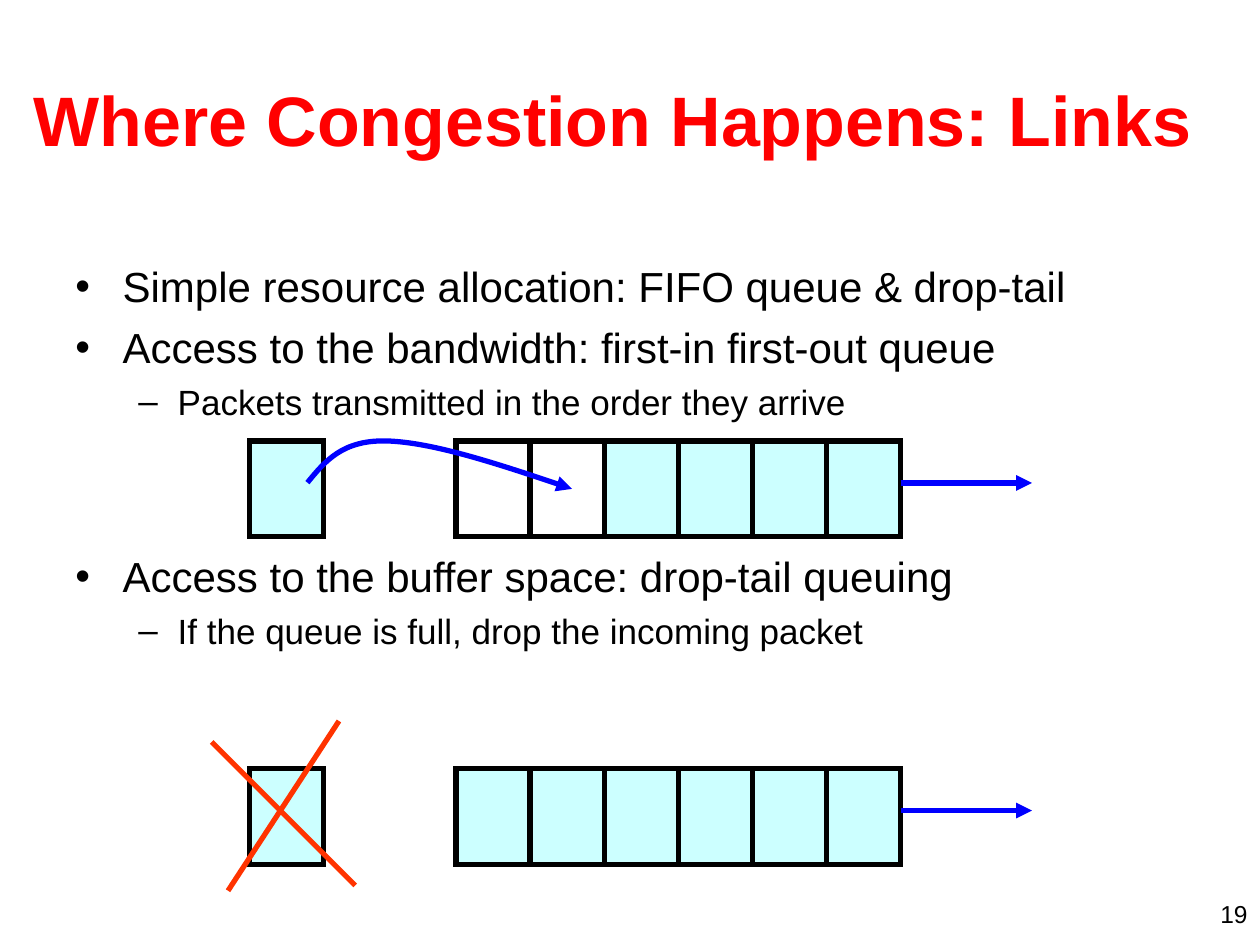
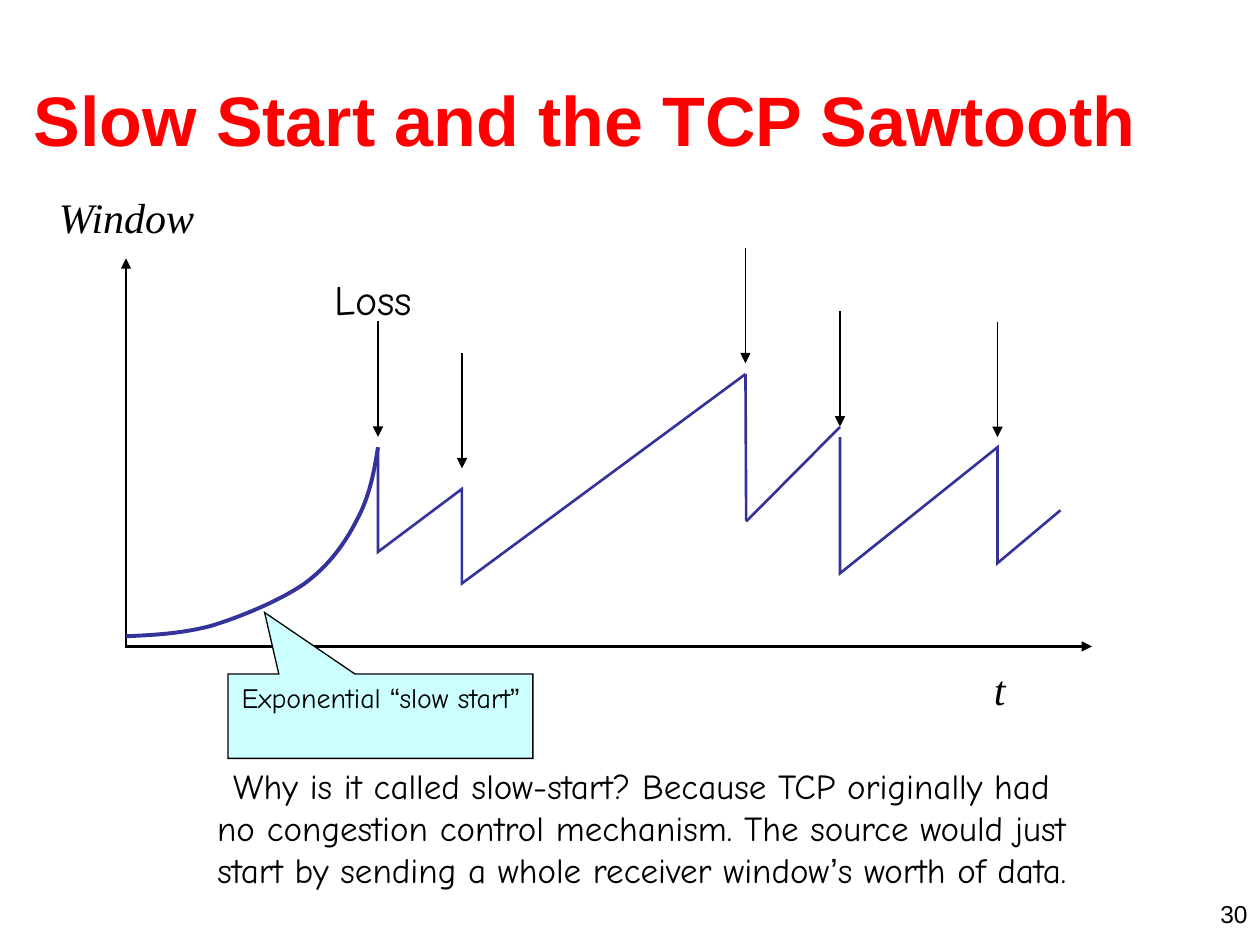
"""Build two lecture slides on network congestion and TCP slow start."""
from dataclasses import dataclass
from itertools import groupby

from lxml.etree import SubElement
from pptx import Presentation
from pptx.dml.color import RGBColor
from pptx.enum.shapes import MSO_CONNECTOR, MSO_SHAPE
from pptx.enum.text import MSO_ANCHOR, MSO_AUTO_SIZE, PP_ALIGN
from pptx.oxml.ns import qn
from pptx.util import Pt

LEFT, CENTER, RIGHT = PP_ALIGN.LEFT, PP_ALIGN.CENTER, PP_ALIGN.RIGHT
TOP, MIDDLE = MSO_ANCHOR.TOP, MSO_ANCHOR.MIDDLE
FIXED, GROW = MSO_AUTO_SIZE.NONE, MSO_AUTO_SIZE.SHAPE_TO_FIT_TEXT
RECT, CALLOUT = MSO_SHAPE.RECTANGLE, MSO_SHAPE.RECTANGULAR_CALLOUT
STRAIGHT = MSO_CONNECTOR.STRAIGHT
TITLE_ONLY = 5
QUOTES = "“”’"


@dataclass(frozen=True)
class Type:
    """A text style."""
    size: float
    font: str = "Arial"
    color: str = "000000"
    bold: bool = False
    italic: bool = False


@dataclass(frozen=True)
class Pen:
    """A line style, with optional arrowheads."""
    color: str
    width: float
    head: bool = False
    tail: bool = False


@dataclass(frozen=True)
class Theme:
    """Colours, type and lines shared by the slides."""
    cell: str = "CCFFFF"
    quote: str = "Arial"
    title: Type = Type(40, color="FF0000", bold=True)
    number: Type = Type(14)
    point: Type = Type(24)
    detail: Type = Type(20)
    loss: Type = Type(24, "Comic Neue")
    note: Type = Type(20, "Comic Neue")
    call: Type = Type(16, "Comic Neue")
    axis: Type = Type(24, "Times New Roman", italic=True)
    border: Pen = Pen("000000", 3)
    flow: Pen = Pen("0000FF", 3, tail=True)
    cross: Pen = Pen("FF3300", 3)
    axes: Pen = Pen("000000", 1.5, head=True, tail=True)
    drop: Pen = Pen("000000", 0.75, tail=True)
    frame: Pen = Pen("000000", 0.75)
    growth: Pen = Pen("333399", 2.25)
    saw: Pen = Pen("333399", 1.5)


@dataclass(frozen=True)
class Level:
    """The bullet layout of one outline level."""
    mark: str
    margin: float
    hang: float
    type: Type


@dataclass(frozen=True)
class Item:
    """One bulleted line."""
    text: str
    level: Level
    before: float


@dataclass(frozen=True)
class Label:
    """A text box sized to its lines."""
    lines: tuple
    box: tuple
    type: Type
    align: PP_ALIGN = LEFT


THEME = Theme()
MAIN = Level("•", 27, 27, THEME.point)
SUB = Level("–", 58.5, 22.5, THEME.detail)

ITEMS = (
    Item("Simple resource allocation: FIFO queue & drop-tail", MAIN, 0),
    Item("Access to the bandwidth: first-in first-out queue", MAIN, 6),
    Item("Packets transmitted in the order they arrive", SUB, 5),
    Item("Access to the buffer space: drop-tail queuing", MAIN, 73),
    Item("If the queue is full, drop the incoming packet", SUB, 5),
)
LABELS = (
    Label(("Loss",), (184.3, 152.6, 59, 36), THEME.loss),
    Label(("t",), (560.9, 375.8, 21, 36), THEME.axis),
    Label(("Window",), (26.6, 105.8, 93, 36), THEME.axis),
    Label(("Why is it called slow-start? Because TCP originally had",
           "no congestion control mechanism. The source would just",
           "start by sending a whole receiver window’s worth of data."),
          (113, 433.4, 507.6, 79.2), THEME.note, CENTER),
)

CELL_W, CELL_H = 42.35, 54.7
QUEUE_X, QUEUE_N, PACKET_X = 260.6, 6, 142.6
ENTRY = ((175.7, 275.8), (185.8, 263.5), (195.8, 251.3), (221, 252),
         (246.2, 252.7), (286.6, 265.7), (326.9, 279.4))
CROSS = (((121, 424), (203, 506)), ((193.7, 412), (130.3, 509)))

AXES = ((72, 147.6), (72, 369.4), (624, 369.4))
DROPS = ((216, 183.6), (264, 201.6), (426, 141.6), (480, 177.8), (570, 183.8))
DROP_H = 66
GROWTH = ((216, 255.6), (213.8, 270), (211, 284.4), (203.8, 297.4),
          (197.3, 310.3), (187.9, 323.3), (174.2, 333.4), (159.8, 343.4),
          (136.8, 352.8), (120.2, 357.8), (103, 362.2), (87.8, 362.9),
          (72, 363.6))
TEETH = (
    ((216, 255.6), (216, 315.4), (264, 279.4), (264, 333.4), (426, 213.8)),
    ((480, 249.8), (480, 327.6), (570, 255.6), (570, 321.8), (606, 291.6)),
)
EDGES = (((426.4, 298), (480, 244)), ((426, 213.8), (426.4, 297.5)))


def style(font, kind: Type) -> None:
    """Apply a text style to a font."""
    font.name, font.size = kind.font, Pt(kind.size)
    font.bold, font.italic = kind.bold, kind.italic
    font.color.rgb = RGBColor.from_string(kind.color)


def write(frame, lines: tuple, kind: Type, align: PP_ALIGN = LEFT) -> None:
    """Fill a frame with lines, setting quote marks in their own font."""
    for i, line in enumerate(lines):
        para = frame.add_paragraph() if i else frame.paragraphs[0]
        para.alignment = align
        for quote, part in groupby(line, lambda sign: sign in QUOTES):
            run = para.add_run()
            run.text = "".join(part)
            style(run.font, kind)
            if quote:
                run.font.name = THEME.quote


def add_box(slide, box: tuple, wrap: bool = True):
    """Add a text box and return its frame."""
    frame = slide.shapes.add_textbox(*map(Pt, box)).text_frame
    frame.word_wrap = wrap
    frame.auto_size = FIXED if wrap else GROW
    return frame


def stroke(shape, pen: Pen) -> None:
    """Set the line, corners and arrowheads of a shape."""
    shape.line.width = Pt(pen.width)
    shape.line.fill.solid()
    shape.line.fill.fore_color.rgb = RGBColor.from_string(pen.color)
    line = shape.element.spPr.find(qn("a:ln"))
    SubElement(line, qn("a:miter"), lim="800000")
    for end, shown in (("a:headEnd", pen.head), ("a:tailEnd", pen.tail)):
        if shown:
            SubElement(line, qn(end), type="triangle")


def add_line(slide, start: tuple, end: tuple, pen: Pen) -> None:
    """Draw a straight line."""
    line = slide.shapes.add_connector(STRAIGHT, *map(Pt, start + end))
    stroke(line, pen)
    SubElement(line.element.spPr, qn("a:effectLst"))


def add_path(slide, points: tuple, pen: Pen, curved: bool = False) -> None:
    """Draw an open path, its points being Bezier controls if curved."""
    first, *rest = [(Pt(x), Pt(y)) for x, y in points]
    build = slide.shapes.build_freeform(*first)
    build.add_line_segments(rest, close=False)
    shape = build.convert_to_shape()
    shape.shadow.inherit = False
    shape.fill.background()
    stroke(shape, pen)
    if curved:
        path = shape.element.spPr.find(".//" + qn("a:path"))
        steps = path.findall(qn("a:lnTo"))
        for i in range(0, len(steps), 3):
            curve = SubElement(path, qn("a:cubicBezTo"))
            for step in steps[i:i + 3]:
                curve.append(step[0])
                path.remove(step)


def add_shape(slide, kind: MSO_SHAPE, box: tuple, pen: Pen, filled: bool = True):
    """Add a preset shape in the cell colour or without a fill."""
    shape = slide.shapes.add_shape(kind, *map(Pt, box))
    shape.shadow.inherit = False
    if filled:
        shape.fill.solid()
        shape.fill.fore_color.rgb = RGBColor.from_string(THEME.cell)
    else:
        shape.fill.background()
    stroke(shape, pen)
    return shape


def add_slide(deck, title: str, number: int):
    """Add a slide with its title and number."""
    slide = deck.slides.add_slide(deck.slide_layouts[TITLE_ONLY])
    head = slide.shapes.title
    head.left, head.top, head.width, head.height = map(Pt, (12, 23, 690, 90))
    frame = head.text_frame
    frame.word_wrap, frame.auto_size = True, FIXED
    frame.vertical_anchor = MIDDLE
    write(frame, (title,), THEME.title)
    frame = add_box(slide, (552, 510, 168, 18))
    write(frame, (str(number),), THEME.number, RIGHT)
    return slide


def add_list(slide, items: tuple, box: tuple) -> None:
    """Add a bulleted list."""
    frame = add_box(slide, box)
    frame.text = "\n".join(item.text for item in items)
    for para, item in zip(frame.paragraphs, items):
        level = item.level
        props = para._p.get_or_add_pPr()
        props.set("marL", str(Pt(level.margin)))
        props.set("indent", str(-Pt(level.hang)))
        SubElement(props, qn("a:buFont"), typeface=level.type.font)
        SubElement(props, qn("a:buChar"), char=level.mark)
        if item.before:
            para.space_before = Pt(item.before)
        style(para.runs[0].font, level.type)


def add_queue(slide, top: float, free: int) -> None:
    """Draw a queue with free cells, a new packet and the way out."""
    for i in range(QUEUE_N):
        box = (QUEUE_X + i * CELL_W, top, CELL_W, CELL_H)
        add_shape(slide, RECT, box, THEME.border, i >= free)
    add_shape(slide, RECT, (PACKET_X, top, CELL_W, CELL_H), THEME.border)
    exit_x, mid = QUEUE_X + QUEUE_N * CELL_W, top + 24
    add_line(slide, (exit_x, mid), (exit_x + 75, mid), THEME.flow)


def links(deck) -> None:
    """Build the slide on congested links."""
    slide = add_slide(deck, "Where Congestion Happens: Links", 19)
    add_list(slide, ITEMS, (36, 145.5, 648, 340.5))
    add_queue(slide, 252, 2)
    add_path(slide, ENTRY, THEME.flow, True)
    add_queue(slide, 439.2, 0)
    for start, end in CROSS:
        add_line(slide, start, end, THEME.cross)


def tooth(deck) -> None:
    """Build the slide on slow start."""
    slide = add_slide(deck, "Slow Start and the TCP Sawtooth", 30)
    add_path(slide, AXES, THEME.axes)
    for x, y in DROPS:
        add_line(slide, (x, y), (x, y + DROP_H), THEME.drop)
    add_path(slide, GROWTH, THEME.growth, True)
    call = add_shape(slide, CALLOUT, (130.3, 385.2, 174.2, 48.2), THEME.frame)
    call.adjustments[0], call.adjustments[1] = -0.38, -1.23
    call.text_frame.vertical_anchor = TOP
    call.text_frame.word_wrap = True
    write(call.text_frame, ("Exponential “slow start”",), THEME.call, CENTER)
    for label in LABELS:
        frame = add_box(slide, label.box, False)
        write(frame, label.lines, label.type, label.align)
    for points in TEETH:
        add_path(slide, points, THEME.saw)
    for start, end in EDGES:
        add_line(slide, start, end, THEME.saw)


def main() -> None:
    """Build and save the deck."""
    deck = Presentation()
    deck.slide_width, deck.slide_height = Pt(720), Pt(540)
    links(deck)
    tooth(deck)
    deck.save("out.pptx")


if __name__ == "__main__":
    main()
